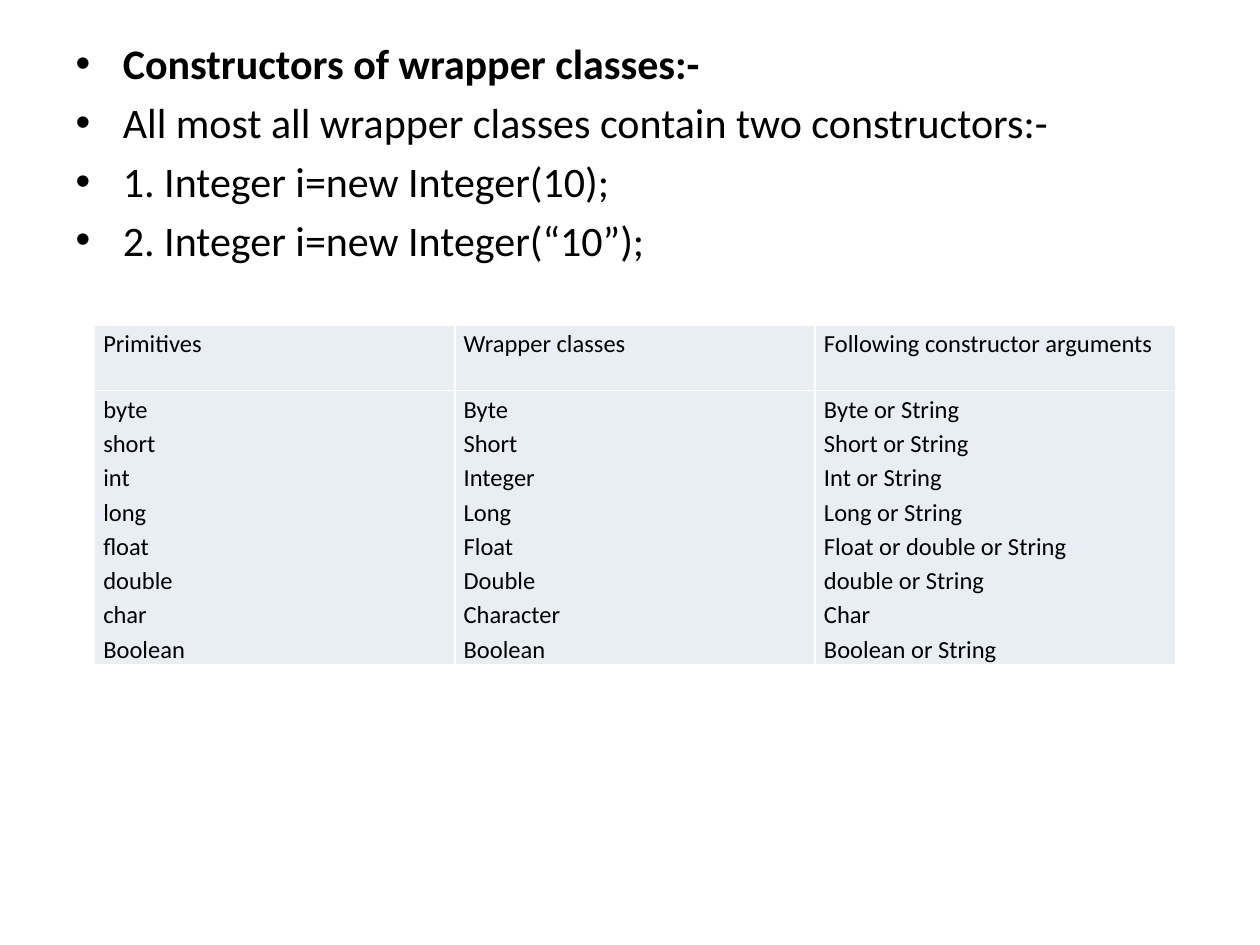
from dataclasses import dataclass

from lxml.etree import SubElement
from pptx import Presentation
from pptx.dml.color import RGBColor as Color
from pptx.enum.text import MSO_AUTO_SIZE as AutoSize
from pptx.oxml.ns import qn
from pptx.util import Inches, Pt

UNIT = 0.25  # inches in one grid column or row


@dataclass(frozen=True)
class Theme:
    font: str = "Calibri"
    ink: str = "000000"
    cell_fill: str = "E9EDF4"
    border: str = "FFFFFF"
    border_width: float = 1
    list_size: float = 24
    table_size: float = 14


def grid(*units):
    return [Inches(unit * UNIT) for unit in units]


def write(frame, lines, *, font, size, color, bold_first=False, line_spacing=None):
    """Fill a text frame with one paragraph per line."""
    for index, line in enumerate(lines):
        para = frame.add_paragraph() if index else frame.paragraphs[0]
        if not index:
            para.space_before = Pt(0)
        para.line_spacing = line_spacing
        span = para.add_run()
        span.text = line
        span.font.name, span.font.size = font, Pt(size)
        span.font.color.rgb = Color.from_string(color)
        span.font.bold = bold_first and index == 0


class SlideBuilder:
    def __init__(self, deck, theme):
        self.theme = theme
        self.page = deck.slides.add_slide(deck.slide_layouts[1])
        title = self.page.shapes.title
        title.element.getparent().remove(title.element)

    def bullets(self, lines, *, area):
        body = self.page.placeholders[1]
        body.left, body.top, body.width, body.height = grid(*area)
        body.text_frame.auto_size = AutoSize.NONE
        write(body.text_frame, lines, font=self.theme.font,
              size=self.theme.list_size, color=self.theme.ink, bold_first=True)

    def table(self, rows, *, left, top, width, row_heights):
        """Each cell is a list of lines; the columns share the width equally."""
        area = grid(left, top, width, sum(row_heights))
        table = self.page.shapes.add_table(len(rows), len(rows[0]), *area).table
        table.first_row = table.horz_banding = False
        for row, height, cells in zip(table.rows, grid(*row_heights), rows):
            row.height = height
            for cell, lines in zip(row.cells, cells):
                self.style_cell(cell)
                write(cell.text_frame, lines, font=self.theme.font,
                      size=self.theme.table_size, color=self.theme.ink,
                      line_spacing=1.15)

    def style_cell(self, cell):
        cell.margin_left = cell.margin_right = Inches(0.07)
        cell.margin_top = cell.margin_bottom = 0
        properties = cell._tc.get_or_add_tcPr()
        for side in ("lnL", "lnR", "lnT", "lnB"):
            line = SubElement(properties, qn(f"a:{side}"),
                              w=str(Pt(self.theme.border_width)))
            fill = SubElement(line, qn("a:solidFill"))
            SubElement(fill, qn("a:srgbClr"), val=self.theme.border)
        cell.fill.solid()
        cell.fill.fore_color.rgb = Color.from_string(self.theme.cell_fill)


CONSTRUCTORS = [
    "Constructors of wrapper classes:-",
    "All most all wrapper classes contain two constructors:-",
    "1. Integer i=new Integer(10);",
    "2. Integer i=new Integer(“10”);",
]
HEADINGS = ["Primitives", "Wrapper classes", "Following constructor arguments"]
WRAPPERS = [
    ("byte", "Byte", "Byte or String"),
    ("short", "Short", "Short or String"),
    ("int", "Integer", "Int or String"),
    ("long", "Long", "Long or String"),
    ("float", "Float", "Float or double or String"),
    ("double", "Double", "double or String"),
    ("char", "Character", "Char"),
    ("Boolean", "Boolean", "Boolean or String"),
]


def main():
    deck = Presentation()
    deck.slide_width, deck.slide_height = grid(40, 30)
    slide = SlideBuilder(deck, Theme())
    slide.bullets(CONSTRUCTORS, area=(2, 1, 36, 25.8))
    heading_row = [[heading] for heading in HEADINGS]
    slide.table([heading_row, list(zip(*WRAPPERS))],
                left=3, top=10.32, width=34.32, row_heights=(2.08, 8.6))
    deck.save("out.pptx")


if __name__ == "__main__":
    main()
